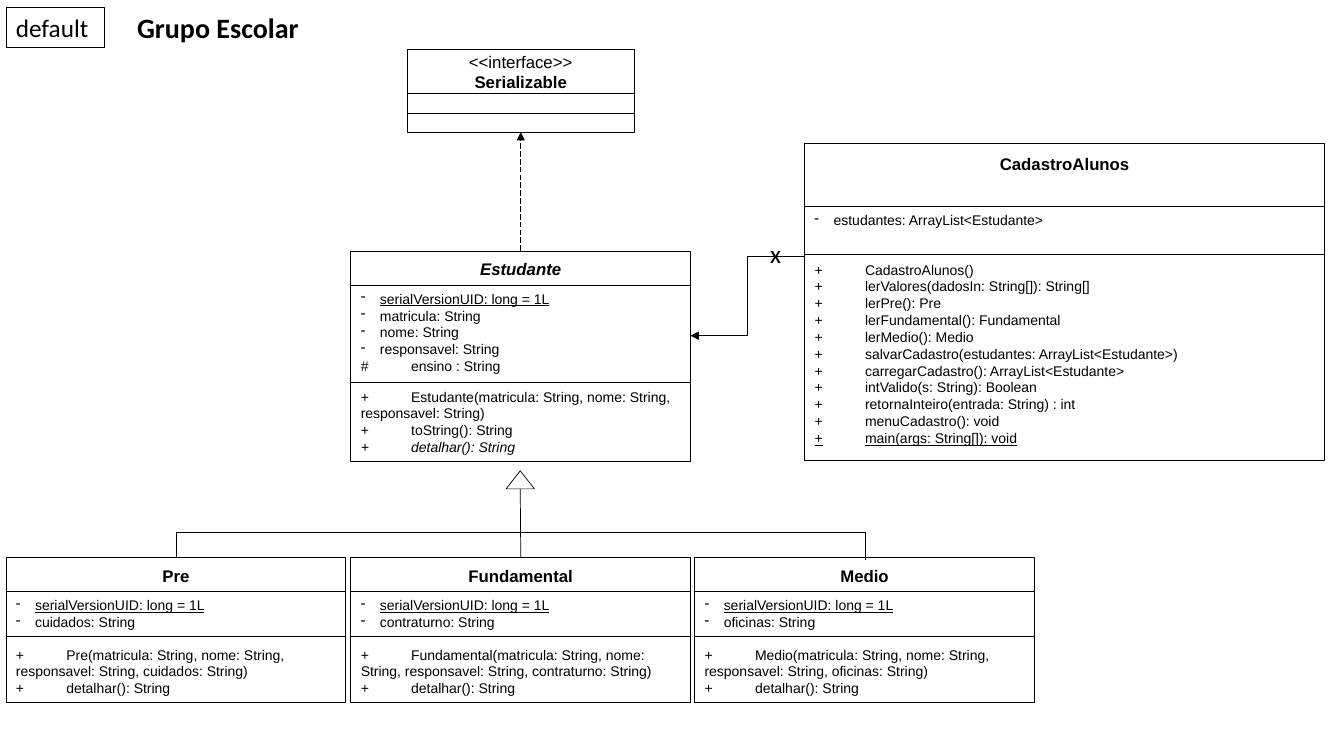
from dataclasses import dataclass, field

from lxml import etree
from pptx import Presentation
from pptx.dml.color import RGBColor
from pptx.enum.dml import MSO_LINE
from pptx.enum.shapes import MSO_CONNECTOR, MSO_SHAPE
from pptx.enum.text import MSO_ANCHOR, MSO_AUTO_SIZE, PP_ALIGN
from pptx.oxml.ns import qn
from pptx.util import Emu, Pt

PX = 9144  # 100 px to the inch
LEFT, MID = PP_ALIGN.LEFT, PP_ALIGN.CENTER
TOP = MSO_ANCHOR.TOP
GROW = MSO_AUTO_SIZE.SHAPE_TO_FIT_TEXT
RECT, PEAK = MSO_SHAPE.RECTANGLE, MSO_SHAPE.ISOSCELES_TRIANGLE
LINE, ELBOW = MSO_CONNECTOR.STRAIGHT, MSO_CONNECTOR.ELBOW
DASH = MSO_LINE.LONG_DASH


@dataclass(frozen=True)
class Theme:
    ink: RGBColor = RGBColor(0, 0, 0)
    uml: str = "Arial"
    plain: str = "Calibri"
    title: int = 20
    label: int = 18
    name: int = 12
    member: int = 10
    thin: float = 0.5
    frame: float = 0.75


THEME = Theme()
HEAD = {"name": THEME.uml, "size": Pt(THEME.name)}
BODY = {"name": THEME.uml, "size": Pt(THEME.member)}
LABEL = {"name": THEME.plain, "size": Pt(THEME.label)}
TITLE = {"name": THEME.plain, "size": Pt(THEME.title), "bold": True}
BOLD, ITALIC, UNDER = {"bold": True}, {"italic": True}, {"underline": True}


@dataclass(frozen=True)
class Area:
    x: int
    y: int
    w: int
    h: int

    def emu(self) -> list[Emu]:
        return [Emu(v * PX) for v in (self.x, self.y, self.w, self.h)]


@dataclass(frozen=True)
class Row:
    text: str
    font: dict = field(default_factory=dict)
    align: PP_ALIGN = LEFT
    bullet: str = ""
    tab: int = 0


@dataclass(frozen=True)
class Node:
    area: Area
    cuts: tuple[int, int]  # divider offsets from the top
    head: list[Row]
    attrs: list[Row]
    ops: list[Row]
    drop: int = 3  # head offset
    gap: int = 1  # space above the operations


def dash(text: str, **font) -> Row:
    return Row(text, font, bullet="-")


def mark(sign: str, text: str, tab: int = 19, **font) -> Row:
    return Row(f"{sign}\t{text}", font, tab=tab)


def name(text: str, **font) -> list[Row]:
    return [Row(text, BOLD | font, MID)]


def assign(target, values: dict) -> None:
    for key, value in values.items():
        setattr(target, key, value)


def write(shape, area: Area, rows: list[Row], base: dict, wrap: bool = True) -> None:
    assign(shape, dict(zip(("left", "top", "width", "height"), area.emu())))
    frame = shape.text_frame
    assign(frame, {"word_wrap": wrap, "auto_size": GROW, "vertical_anchor": TOP,
                   "margin_left": 10 * PX, "margin_right": 10 * PX,
                   "margin_top": 5 * PX, "margin_bottom": 5 * PX})
    for i, row in enumerate(rows):
        para = frame.add_paragraph() if i else frame.paragraphs[0]
        assign(para, {"alignment": row.align, "space_before": Pt(0)})
        run = para.add_run()
        run.text = row.text
        assign(run.font, base | row.font)
        run.font.color.rgb = THEME.ink
        # Bullet, hanging indent and tab stop
        props = para._p.get_or_add_pPr()
        hang = 19 * PX if row.bullet else 0
        props.set("marL", str(hang))
        props.set("indent", str(-hang))
        if row.bullet:
            etree.SubElement(props, qn("a:buChar"), char=row.bullet)
        else:
            etree.SubElement(props, qn("a:buNone"))
        if row.tab:
            stops = etree.SubElement(props, qn("a:tabLst"))
            etree.SubElement(stops, qn("a:tab"), pos=str(row.tab * PX), algn="l")


def label(slide, area: Area, rows: list[Row], base: dict, wrap: bool = True) -> None:
    write(slide.shapes.add_textbox(*area.emu()), area, rows, base, wrap)


def outline(slide, kind, area: Area, width: float = THEME.thin):
    shape = slide.shapes.add_shape(kind, *area.emu())
    shape.shadow.inherit = False
    shape.fill.background()
    shape.line.color.rgb = THEME.ink
    shape.line.width = Pt(width)
    return shape


def link(slide, kind, ends: tuple[int, int, int, int], arrow: bool = False, style=None):
    wire = slide.shapes.add_connector(kind, *(Emu(v * PX) for v in ends))
    wire.line.color.rgb = THEME.ink
    wire.line.width = Pt(THEME.thin)
    if style:
        wire.line.dash_style = style
    props = wire._element.spPr
    if arrow:
        etree.SubElement(props.find(qn("a:ln")), qn("a:tailEnd"), type="triangle")
    etree.SubElement(props, qn("a:effectLst"))
    return wire


def bridge(slide, start: tuple[int, int], end: tuple[int, int], level: int) -> None:
    """Elbow that leaves upwards, runs at one level and comes down again."""
    wide, tall = end[0] - start[0], end[1] - start[1]
    wire = link(slide, ELBOW, (*start, *end))
    assign(wire, {"left": Emu((start[0] + end[0] - tall) * PX // 2),
                  "top": Emu((start[1] + end[1] - wide) * PX // 2),
                  "width": Emu(tall * PX), "height": Emu(wide * PX)})
    props = wire._element.spPr
    assign_xf = props.find(qn("a:xfrm")).set
    assign_xf("rot", str(270 * 60000))
    assign_xf("flipH", "1")
    geom = props.find(qn("a:prstGeom"))
    guides = geom.find(qn("a:avLst"))
    if guides is None:
        guides = etree.SubElement(geom, qn("a:avLst"))
    ratio = round((level - start[1]) / tall * 100000)
    etree.SubElement(guides, qn("a:gd"), name="adj1", fmla=f"val {ratio}")


def draw(slide, node: Node, body=None):
    box = node.area
    shape = outline(slide, RECT, box)
    first, last = (box.y + cut for cut in node.cuts)
    for y in (first, last):
        link(slide, LINE, (box.x, y, box.x + box.w, y))
    label(slide, Area(box.x, box.y + node.drop, box.w, 30), node.head, HEAD)
    if node.attrs:
        label(slide, Area(box.x, first, box.w, last - first), node.attrs, BODY)
    if node.ops:
        low = last + node.gap
        area = Area(box.x, low, box.w, box.y + box.h - low)
        write(body or slide.shapes.add_textbox(*area.emu()), area, node.ops, BODY)
    return shape


SERIAL = dash("serialVersionUID: long = 1L", **UNDER)
FACE = Node(Area(404, 49, 225, 82), (44, 63),
            [Row("<<interface>>", align=MID), *name("Serializable")], [], [], drop=-3)
PUPIL = Node(
    Area(348, 249, 337, 209), (34, 130), name("Estudante", **ITALIC),
    [SERIAL, *map(dash, ("matricula: String", "nome: String", "responsavel: String")),
     mark("#", "ensino : String")],
    [mark("+", "Estudante(matricula: String, nome: String, responsavel: String)"),
     mark("+", "toString(): String", 23), mark("+", "detalhar(): String", 23, **ITALIC)])
ROLL = Node(
    Area(798, 142, 516, 315), (63, 110), name("CadastroAlunos"),
    [dash("estudantes: ArrayList<Estudante>")],
    [*(mark("+", text) for text in (
        "CadastroAlunos()", "lerValores(dadosIn: String[]): String[]", "lerPre(): Pre",
        "lerFundamental(): Fundamental", "lerMedio(): Medio",
        "salvarCadastro(estudantes: ArrayList<Estudante>)",
        "carregarCadastro(): ArrayList<Estudante>", "intValido(s: String): Boolean",
        "retornaInteiro(entrada: String) : int", "menuCadastro(): void")),
     mark("+", "main(args: String[]): void", **UNDER)], drop=6, gap=2)
KINDS = [("Pre", "cuidados", 6), ("Fundamental", "contraturno", 348), ("Medio", "oficinas", 689)]


def main() -> None:
    deck = Presentation()
    deck.slide_width, deck.slide_height = Emu(1333 * PX), Emu(750 * PX)
    slide = deck.slides.add_slide(deck.slide_layouts[1])

    # Title and package label
    write(slide.shapes.title, Area(126, 5, 230, 44), [Row("Grupo Escolar")], TITLE)
    tag = Area(6, 7, 98, 40)
    write(outline(slide, RECT, tag, THEME.frame), tag, [Row("default")], LABEL)

    # Classes
    face, pupil = draw(slide, FACE), draw(slide, PUPIL)
    draw(slide, ROLL, slide.placeholders[1])
    kids = [draw(slide, Node(
        Area(x, 553, 337, 144), (34, 78), name(kind), [SERIAL, dash(f"{own}: String")],
        [mark("+", f"{kind}(matricula: String, nome: String, responsavel: String, {own}: String)"),
         mark("+", "detalhar(): String", 23)], gap=5)) for kind, own, x in KINDS]

    # Relations
    real = link(slide, LINE, (516, 249, 516, 131), True, DASH)
    real.begin_connect(pupil, 0)
    real.end_connect(face, 2)
    bridge(slide, (175, 553), (858, 556), 528)
    outline(slide, PEAK, Area(502, 467, 28, 18))
    stem = link(slide, LINE, (516, 553, 516, 485))
    stem.begin_connect(kids[1], 0)
    link(slide, ELBOW, (798, 254, 685, 333), True)
    label(slide, Area(754, 232, 31, 40), [Row("x")], LABEL, False)

    deck.save("out.pptx")


if __name__ == "__main__":
    main()
